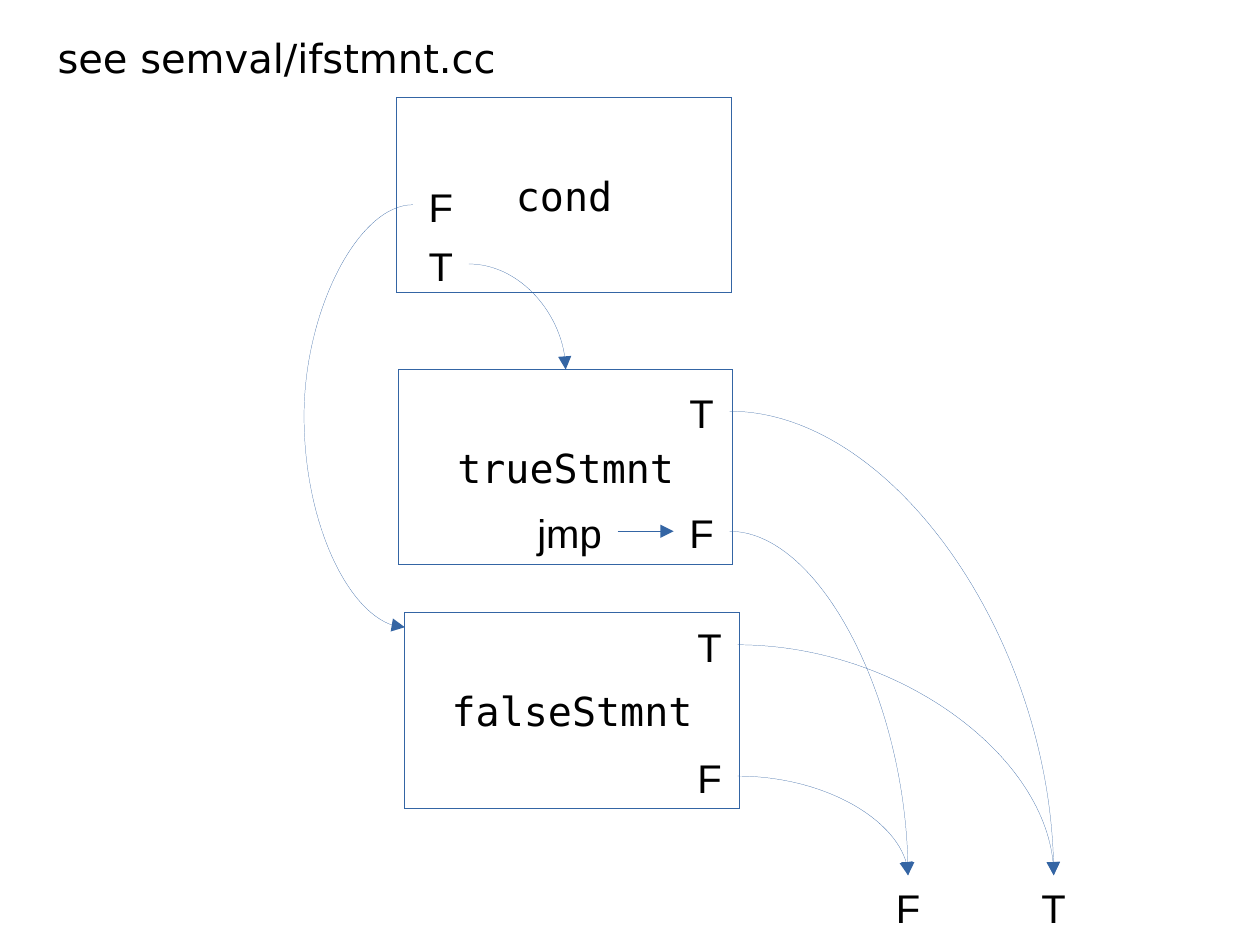
from lxml.etree import SubElement
from pptx import Presentation
from pptx.dml.color import RGBColor
from pptx.enum.shapes import MSO_CONNECTOR as LINK, MSO_SHAPE
from pptx.enum.text import MSO_ANCHOR as ANCHOR, MSO_AUTO_SIZE as FIT, PP_ALIGN as ALIGN
from pptx.oxml.ns import qn
from pptx.util import Cm, Inches, Pt

COLORS = {"line": "3465A4", "text": "000000"}
TITLE = "see semval/ifstmnt.cc"
BLOCK_SIZE = (2.09, 1.22)
LABEL_HEIGHT = 0.38
LETTER_WIDTH, JUMP_WIDTH = 0.35, 0.6

# name: left, top
BLOCKS = {"cond": (2.48, 0.61), "trueStmnt": (2.49, 2.31), "falseStmnt": (2.53, 3.83)}
# (owner, text): left, top
LABELS = {
    ("cond", "F"): (2.58, 1.09),
    ("cond", "T"): (2.58, 1.46),
    ("trueStmnt", "T"): (4.21, 2.38),
    ("trueStmnt", "F"): (4.21, 3.13),
    ("trueStmnt", "jmp"): (3.26, 3.13),
    ("falseStmnt", "T"): (4.26, 3.84),
    ("falseStmnt", "F"): (4.26, 4.66),
    ("exit", "F"): (5.5, 5.47),
    ("exit", "T"): (6.41, 5.47),
}
EXITS = [(owner, value) for owner in ("trueStmnt", "falseStmnt") for value in "FT"]
FALSE_ENTRY = (2.53, 3.92)
FALSE_BEND_X = 1.9


def write(shape, text, font="Arial", align=ALIGN.LEFT, anchor=ANCHOR.TOP, fit=FIT.SHAPE_TO_FIT_TEXT):
    frame = shape.text_frame
    frame.text = text
    frame.word_wrap = False
    frame.auto_size = fit
    frame.vertical_anchor = anchor
    paragraph = frame.paragraphs[0]
    paragraph.alignment = align
    style = paragraph.runs[0].font
    style.name, style.size = font, Pt(18)
    style.color.rgb = RGBColor.from_string(COLORS["text"])


def hairline(shape):
    """Colour the line and store width 0 explicitly, so the theme width is not used."""
    shape.line.color.rgb = RGBColor.from_string(COLORS["line"])
    outline = shape._element.spPr.find(qn("a:ln"))
    outline.set("w", "0")
    return outline


def arrow(shapes, kind, start, end):
    link = shapes.add_connector(kind, *start, *end)
    SubElement(hairline(link), qn("a:tailEnd"), type="triangle")
    SubElement(link._element.spPr, qn("a:effectLst"))
    return link


def quarter_curve(shapes, start, end):
    """Leave sideways and arrive from above."""
    link = arrow(shapes, LINK.CURVE, start, end)
    link._element.spPr.find(qn("a:prstGeom")).set("prst", "curvedConnector2")


def loop_curve(shapes, start, end, bend_x):
    """Bulge left to bend_x and come back."""
    link = arrow(shapes, LINK.CURVE, start, end)
    xfrm = link._element.spPr.find(qn("a:xfrm"))
    xfrm.attrib.pop("flipH", None)
    xfrm.set("rot", str(180 * 60000))
    xfrm.set("flipV", "1")
    geometry = link._element.spPr.find(qn("a:prstGeom"))
    ratio = (start[0] - bend_x) / (start[0] - end[0])
    guides = geometry.get_or_add_avLst()
    SubElement(guides, qn("a:gd"), name="adj1", fmla=f"val {round(ratio * 100000)}")


def left_middle(box):
    return box.left, box.top + box.height // 2


def right_middle(box):
    return box.left + box.width, box.top + box.height // 2


def top_middle(box):
    return box.left + box.width // 2, box.top


def main():
    deck = Presentation()
    deck.slide_width, deck.slide_height = Cm(20), Cm(15)
    slide = deck.slides.add_slide(deck.slide_layouts[5])
    shapes = slide.shapes

    title = shapes.title
    title.left, title.top, title.width, title.height = map(Inches, (0.26, 0.16, 2.94, 0.39))
    write(title, TITLE, font="DejaVu Sans")

    blocks = {}
    for name, corner in BLOCKS.items():
        block = shapes.add_shape(MSO_SHAPE.RECTANGLE, *map(Inches, corner + BLOCK_SIZE))
        block.shadow.inherit = False
        block.fill.background()
        hairline(block)
        write(block, name, font="DejaVu Sans Mono", align=ALIGN.CENTER, anchor=ANCHOR.MIDDLE, fit=FIT.NONE)
        blocks[name] = block

    labels = {}
    for key, corner in LABELS.items():
        text = key[1]
        width = LETTER_WIDTH if len(text) == 1 else JUMP_WIDTH
        labels[key] = shapes.add_textbox(*map(Inches, (*corner, width, LABEL_HEIGHT)))
        write(labels[key], text)

    quarter_curve(shapes, right_middle(labels["cond", "T"]), top_middle(blocks["trueStmnt"]))
    loop_curve(shapes, left_middle(labels["cond", "F"]),
               tuple(map(Inches, FALSE_ENTRY)), Inches(FALSE_BEND_X))
    for owner, value in EXITS:
        quarter_curve(shapes, right_middle(labels[owner, value]), top_middle(labels["exit", value]))

    jump, target = labels["trueStmnt", "jmp"], labels["trueStmnt", "F"]
    step = arrow(shapes, LINK.STRAIGHT, right_middle(jump), left_middle(target))
    step.begin_connect(jump, 3)
    step.end_connect(target, 1)

    deck.save("out.pptx")


if __name__ == "__main__":
    main()
